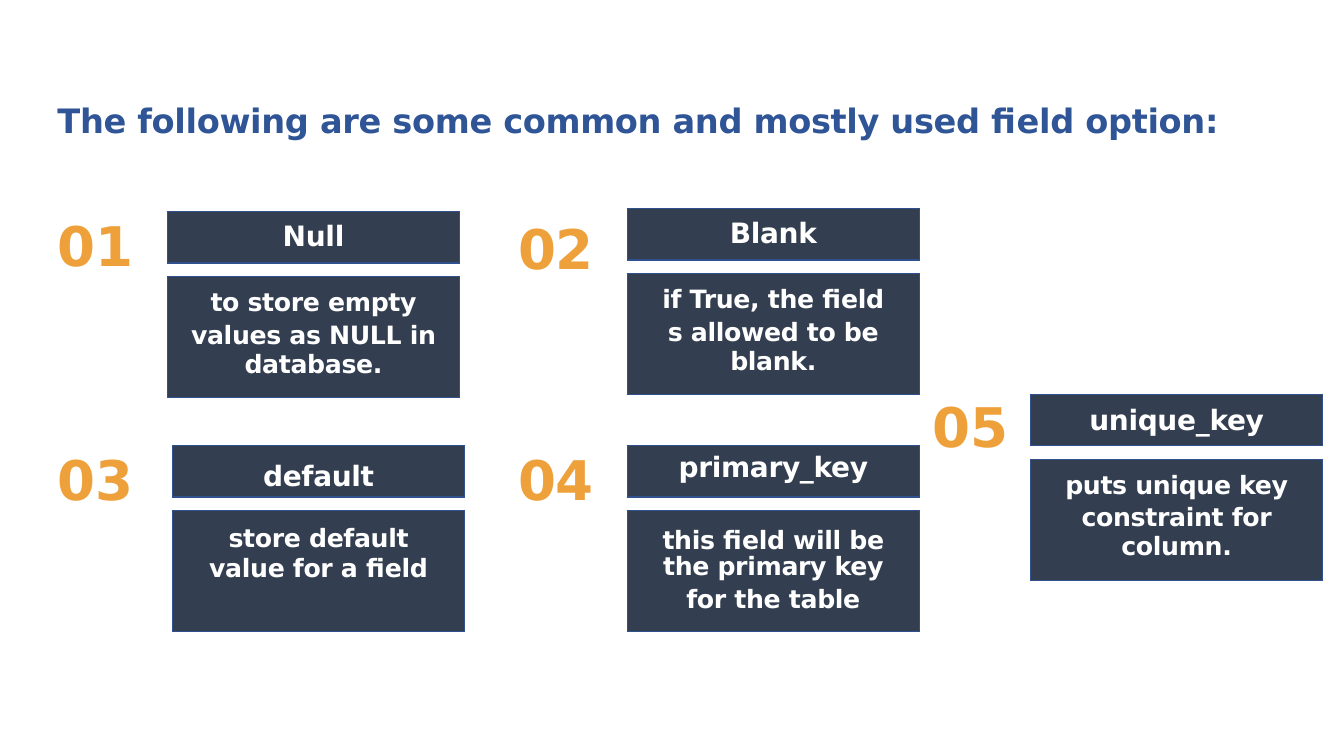
from lxml import etree
from pptx import Presentation
from pptx import util as u
from pptx.dml.color import RGBColor
from pptx.enum import text as t
from pptx.oxml.ns import qn

BLUE = RGBColor(0x2F, 0x55, 0x97)
EDGE = RGBColor(0x2F, 0x52, 0x8F)
SLATE = RGBColor(0x33, 0x3F, 0x50)
AMBER = RGBColor(0xEE, 0xA1, 0x3A)
WHITE = RGBColor(0xFF, 0xFF, 0xFF)
FACE = "DejaVu Sans"
WIDE, HEAD, BODY, STEP = 2.9, 0.51, 1.2, 0.645


def write(frame, lines, size, color, align):
    """Fill a text frame; each line is (text, space before, line spacing)."""
    frame.word_wrap = True
    for i, (words, before, pitch) in enumerate(lines):
        para = frame.paragraphs[0] if i == 0 else frame.add_paragraph()
        run = para.add_run()
        run.text = words
        run._r.get_or_add_rPr().set("spc", "-25")
        para.alignment = align
        para.space_before = u.Pt(before)
        para.line_spacing = pitch
        font = para.font
        font.name, font.size, font.bold = FACE, u.Pt(size), True
        font.color.rgb = color


def panel(left, top, high, pad, lines, size):
    """Draw a bordered one-cell table with centred text."""
    frame = slide.shapes.add_table(
        1, 1, u.Inches(left), u.Inches(top), u.Inches(WIDE), u.Inches(high))
    table = frame.table
    table.first_row = table.horz_banding = False
    cell = table.cell(0, 0)
    cell.margin_left = cell.margin_right = cell.margin_bottom = 0
    cell.margin_top = u.Inches(pad)
    props = cell._tc.get_or_add_tcPr()
    for side in ("a:lnL", "a:lnR", "a:lnT", "a:lnB"):
        line = etree.SubElement(props, qn(side), w=str(u.Pt(1)))
        fill = etree.SubElement(line, qn("a:solidFill"))
        etree.SubElement(fill, qn("a:srgbClr"), val=str(EDGE))
    cell.fill.solid()
    cell.fill.fore_color.rgb = SLATE
    write(cell.text_frame, lines, size, WHITE, t.PP_ALIGN.CENTER)


deck = Presentation()
deck.slide_width, deck.slide_height = u.Inches(13.33), u.Inches(7.5)
slide = deck.slides.add_slide(deck.slide_layouts[5])

# Title
title = slide.shapes.title
title.left, title.top = u.Inches(0.57), u.Inches(1.05)
title.width, title.height = u.Inches(11.68), u.Inches(0.7)
frame = title.text_frame
frame.auto_size = t.MSO_AUTO_SIZE.NONE
frame.vertical_anchor = t.MSO_ANCHOR.TOP
frame.margin_left = frame.margin_right = frame.margin_top = frame.margin_bottom = 0
write(frame, [("The following are some common and mostly used field option:", 0, 0.87)],
      24, BLUE, t.PP_ALIGN.LEFT)

# Options: number place, panel place, name and its padding, text padding and lines
options = [
    (0.57, 2.1, 1.66, 2.1, "Null", 0.09, 0.11,
     [("to store empty", 0, 1), ("values as NULL in", 3, 1), ("database.", 0, 1)]),
    (5.14, 2.13, 6.22, 2.07, "Blank", 0.09, 0.11,
     [("if True, the field", 0, 1), ("s allowed to be", 3, 1), ("blank.", 0, 1)]),
    (0.57, 4.42, 1.71, 4.42, "default", 0.15, 0.14,
     [("store default", 0, 1), ("value for a field", 0, 1)]),
    (5.14, 4.42, 6.22, 4.42, "primary_key", 0.06, 0.15,
     [("this field will be", 0, 1), ("the primary key", 0, 0.88), ("for the table", 3, 1)]),
    (9.25, 3.9, 10.22, 3.91, "unique_key", 0.1, 0.12,
     [("puts unique key", 0, 1), ("constraint for", 2, 1), ("column.", 0, 1)]),
]
for i, (numx, numy, left, top, name, lead, pad, lines) in enumerate(options, 1):
    box = slide.shapes.add_textbox(
        u.Inches(numx), u.Inches(numy), u.Inches(0.79), u.Inches(0.63))
    frame = box.text_frame
    frame.margin_left = frame.margin_right = frame.margin_top = frame.margin_bottom = 0
    write(frame, [(f"{i:02}", 0, 1)], 39, AMBER, t.PP_ALIGN.LEFT)
    panel(left, top, HEAD, lead, [(name, 0, 1)], 20)
    panel(left, top + STEP, BODY, pad, lines, 18)

deck.save("out.pptx")
